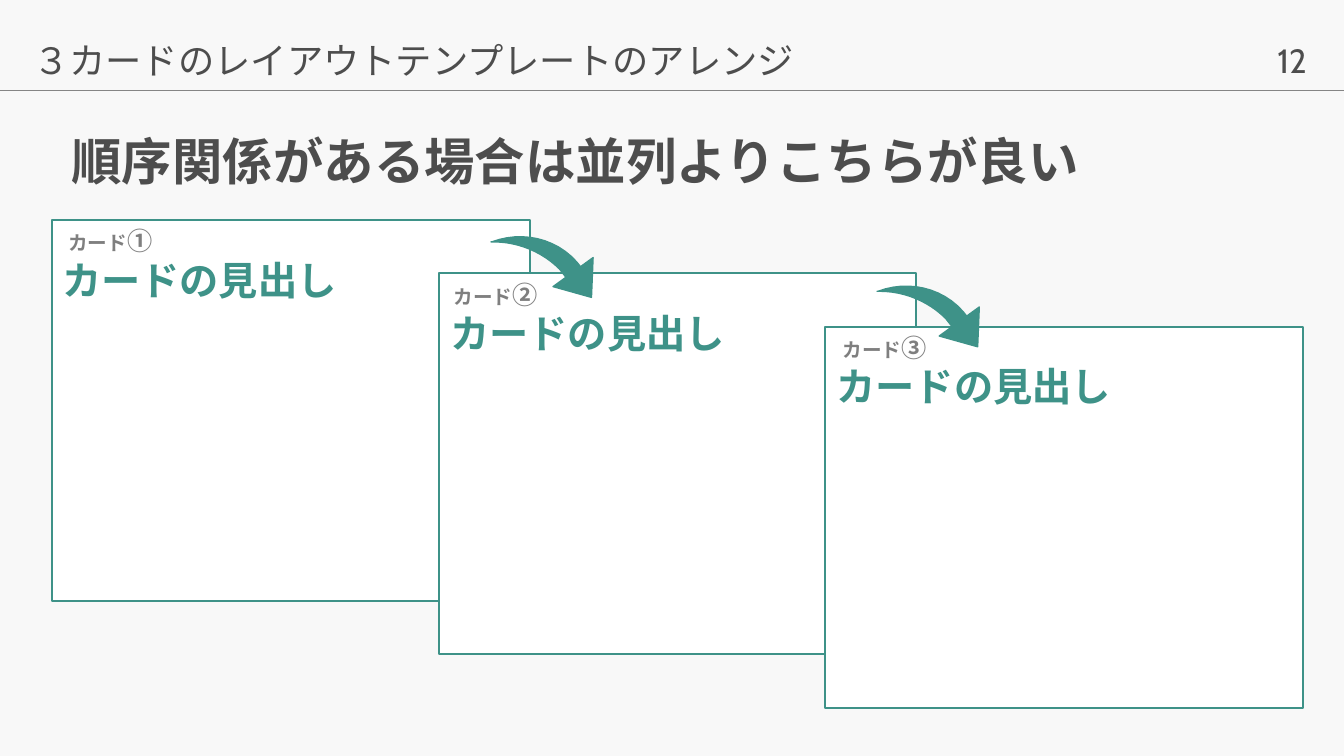
from pptx import Presentation
from pptx.dml.color import RGBColor
from pptx.enum.shapes import MSO_CONNECTOR as Connector, MSO_SHAPE as Preset
from pptx.enum.text import MSO_ANCHOR as Anchor, MSO_AUTO_SIZE as AutoSize, PP_ALIGN as Align
from pptx.oxml.ns import qn
from pptx.util import Inches, Pt

PAPER = RGBColor(0xF8, 0xF8, 0xF8)
WHITE = RGBColor(0xFF, 0xFF, 0xFF)
INK = RGBColor(0x4D, 0x4D, 0x4D)
RULE = RGBColor(0x85, 0x85, 0x85)
GREY = RGBColor(0x7F, 0x7F, 0x7F)
GREEN = RGBColor(0x3E, 0x92, 0x88)
FONT = "Noto Sans CJK JP"


def add_span(para, text, size=18, color=INK, bold=False, font=FONT):
    span = para.add_run()
    span.text = text
    span.font.size = Pt(size)
    span.font.bold = bold
    span.font.color.rgb = color
    span.font.name = font
    latin = span.font._element.find(qn("a:latin"))
    east_asian = latin.makeelement(qn("a:ea"), {"typeface": font})
    latin.addnext(east_asian)


def curve_points(start, first, second, end, steps=12):
    """Points along a cubic curve, without its start."""
    points = []
    for step in range(1, steps + 1):
        t = step / steps
        weights = ((1 - t) ** 3, 3 * t * (1 - t) ** 2, 3 * t * t * (1 - t), t ** 3)
        points.append(tuple(
            sum(w * p[axis] for w, p in zip(weights, (start, first, second, end)))
            for axis in (0, 1)))
    return points


class SlideBuilder:
    def __init__(self, page):
        self.page = page
        page.background.fill.solid()
        page.background.fill.fore_color.rgb = PAPER

    def title(self, text, left, top, width, height):
        title = self.page.shapes.title
        title.left, title.top = Inches(left), Inches(top)
        title.width, title.height = Inches(width), Inches(height)
        title.text_frame.vertical_anchor = Anchor.MIDDLE
        para = title.text_frame.paragraphs[0]
        para.alignment = Align.LEFT
        para.line_spacing = 0.9
        add_span(para, text, size=36, bold=True)

    def text(self, spans, left, top, width, height, wrap=False, spacing=None):
        box = self.page.shapes.add_textbox(
            Inches(left), Inches(top), Inches(width), Inches(height))
        frame = box.text_frame
        frame.word_wrap = wrap
        frame.auto_size = AutoSize.NONE if wrap else AutoSize.SHAPE_TO_FIT_TEXT
        para = frame.paragraphs[0]
        para.line_spacing = spacing
        for text, style in spans:
            add_span(para, text, **style)

    def rule(self, top, width):
        line = self.page.shapes.add_connector(
            Connector.STRAIGHT, 0, Inches(top), Inches(width), Inches(top))
        line.line.color.rgb = RULE
        line.line.width = Pt(1)
        properties = line._element.spPr
        properties.append(properties.makeelement(qn("a:effectLst"), {}))

    def paint(self, shape, fill, line_width):
        shape.shadow.inherit = False
        shape.fill.solid()
        shape.fill.fore_color.rgb = fill
        shape.line.color.rgb = GREEN
        shape.line.width = Pt(line_width)

    def card(self, left, top, width, height):
        card = self.page.shapes.add_shape(
            Preset.RECTANGLE, Inches(left), Inches(top), Inches(width), Inches(height))
        self.paint(card, WHITE, 1.5)

    def arrow(self, left, top):
        """Curved arrow whose tail starts at left, top."""
        head = self.page.shapes.add_shape(
            Preset.ISOSCELES_TRIANGLE, Inches(left + 0.66), Inches(top + 0.27),
            Inches(0.49), Inches(0.31))
        head.rotation = 144
        self.paint(head, GREEN, 1)

        outline = [(0.89, 0.25), (0.85, 0.2)]
        outline += curve_points((0.85, 0.2), (0.64, -0.04), (0.3, -0.11), (0.01, 0))
        outline += [(0, 0), (0.03, 0)]
        outline += curve_points((0.03, 0), (0.27, 0), (0.51, 0.1), (0.68, 0.27))
        points = [(Inches(left + x), Inches(top + y)) for x, y in outline]
        builder = self.page.shapes.build_freeform(
            Inches(left + 0.75), Inches(top + 0.36))
        builder.add_line_segments(points, close=True)
        self.paint(builder.convert_to_shape(), GREEN, 1)


def main():
    deck = Presentation()
    deck.slide_width, deck.slide_height = Inches(13.33), Inches(7.5)
    slide = SlideBuilder(deck.slides.add_slide(deck.slide_layouts[5]))

    # Header
    slide.text([("12", {"size": 24, "font": "Cabin"})], 12.57, 0.35, 0.61, 0.5)
    slide.rule(0.9, 13.33)
    slide.title("順序関係がある場合は並列よりこちらが良い", 0.61, 1.11, 12.42, 1.03)
    slide.text([("３カードのレイアウトテンプレートのアレンジ", {"size": 25.9})],
               0.23, 0.38, 12.53, 0.51, wrap=True, spacing=0.9)

    # Cards step down to the right: number, label indent, heading indent
    cards = [("①", 0.06, 0), ("②", 0.05, 0.02), ("③", 0.08, 0.02)]
    step_x, step_y = 3.83, 0.53
    for index, (number, label_indent, heading_indent) in enumerate(cards):
        left, top = 0.52 + index * step_x, 2.18 + index * step_y
        slide.card(left, top, 4.74, 3.78)
        label = [("カード", {"size": 14, "color": GREY, "bold": True}),
                 (number, {"size": 18, "color": GREY, "bold": True})]
        slide.text(label, left + label_indent, top + 0.01, 1.04, 0.4)
        heading = [("カードの見出し", {"size": 28, "color": GREEN, "bold": True})]
        slide.text(heading, left + heading_indent, top + 0.31, 2.95, 0.57)

    # Arrows from each card to the next
    for index in range(len(cards) - 1):
        slide.arrow(4.87 + index * step_x, 2.4 + index * 0.49)

    deck.save("out.pptx")


if __name__ == "__main__":
    main()
